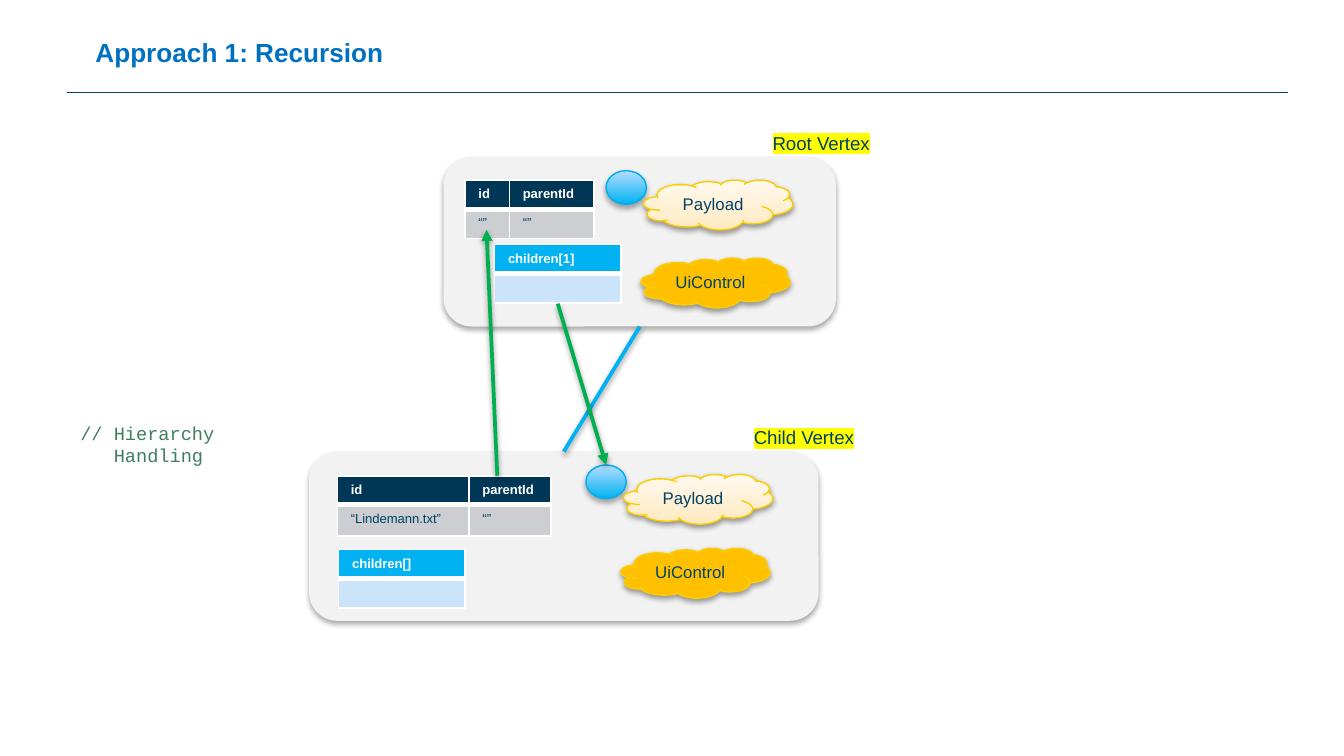
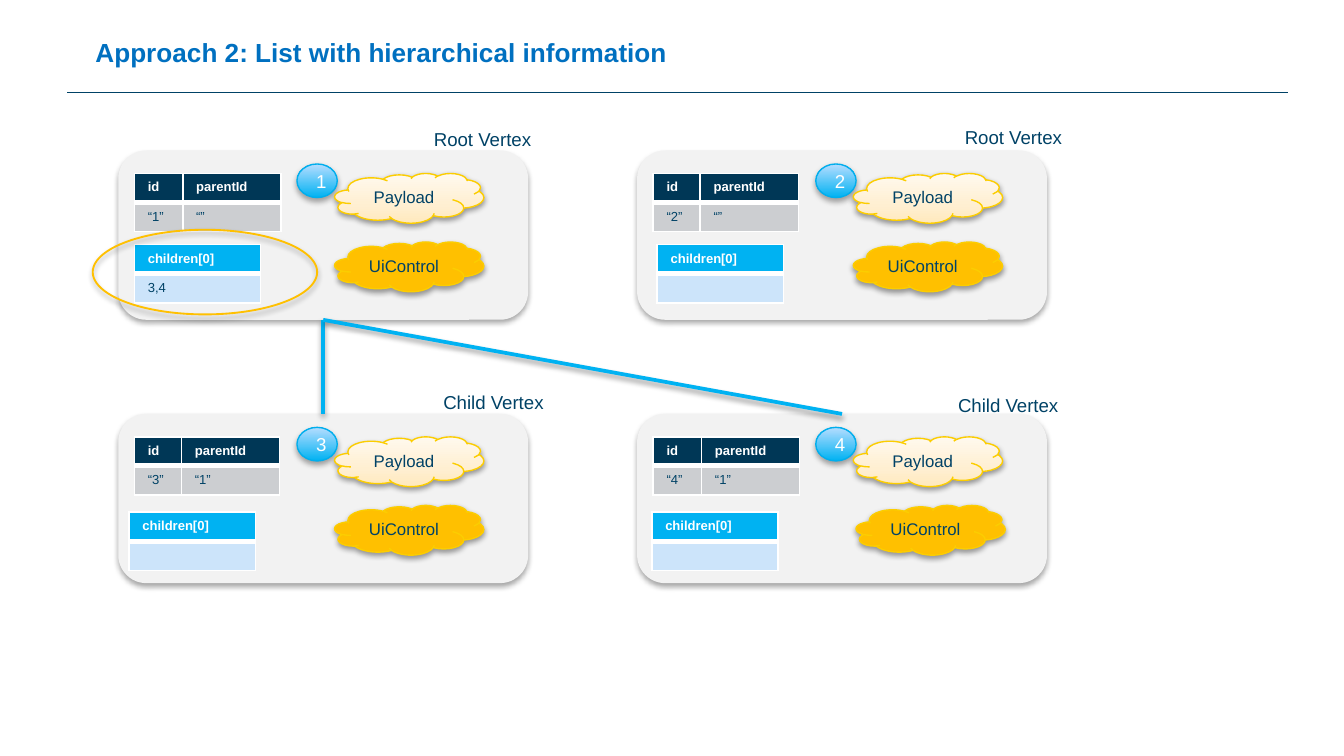
from dataclasses import dataclass
from typing import Any, NamedTuple

from lxml import etree
from pptx import Presentation
from pptx import util as u
from pptx.dml.color import RGBColor
from pptx.enum import shapes, text
from pptx.oxml import ns

# The slide is a grid of square cells, 100 columns wide.
WIDE, HIGH = u.Inches(10), u.Inches(5.625)
CELL = WIDE / 100

NAVY, INK, SKY, WHITE = "003756", "004266", "00B2F2", "FFFFFF"
BLUE, GREEN, GOLD, PALE = "0070C0", "00B050", "FFC000", "F2F2F2"
GRAY, ICE, RIM, EDGE = "CCCED1", "CCE4FA", "00AEED", "FCCD00"
MARK, CODE = "FFFF00", "3F7F5F"
BALL = [(0, SKY), (100, "B6DDFF")]
CREAM = [(0, "FFE9BD"), (35, "FFEFD1"), (100, "FFF9EE")]

TITLE = {"size": u.Pt(14), "name": "Arial", "bold": True, "color": BLUE}
LABEL = {"size": u.Pt(10), "name": "Arial", "color": INK}
NOTE = {"size": u.Pt(10), "name": "Courier New", "color": CODE}
COUNT = {"size": u.Pt(10), "name": "Arial", "color": WHITE}
TAG = {"size": u.Pt(9), "name": "Arial", "color": INK}
HEAD = {"size": u.Pt(7), "name": "Arial", "bold": True, "color": WHITE}
DATA = {"size": u.Pt(7), "name": "Arial", "bold": False, "color": INK}
FREE = {"word_wrap": False, "auto_size": text.MSO_AUTO_SIZE.SHAPE_TO_FIT_TEXT,
        "vertical_anchor": text.MSO_ANCHOR.TOP}


class Spot(NamedTuple):
    """A place on the grid, in columns and rows."""
    x: float
    y: float

    def move(self, by: "Spot") -> "Spot":
        return Spot(self.x + by.x, self.y + by.y)


class Shade(NamedTuple):
    alpha: int
    dist: float


SOFT, FIRM = Shade(35, 1.8), Shade(38, 1.6)


@dataclass
class Vertex:
    """A node card; all spots but `at` are measured from its corner."""
    at: Spot
    label: str
    tag: Spot
    ids: tuple[str, str]
    cols: tuple[float, float]
    kids: str
    kid: Spot
    key: Spot = Spot(1.2, 1.7)
    ball: Spot = Spot(13.3, 1)
    ui: Spot = Spot(16.1, 6.8)
    wide: float = 30.5
    low: float = 1.9
    num: str = ""
    held: str = ""
    mark: bool = False


def grid(*vals: float) -> list[int]:
    return [u.Emu(round(v * CELL)) for v in vals]


def color(code: str) -> RGBColor:
    return RGBColor.from_string(code)


def sub(node: Any, tag: str, **vals: Any) -> Any:
    return etree.SubElement(node, ns.qn("a:" + tag),
                            {k: str(v) for k, v in vals.items()})


def put(obj: Any, form: dict) -> None:
    for key, val in form.items():
        if key == "color":
            obj.color.rgb = color(val)
        else:
            setattr(obj, key, val)


def write(para: Any, words: str, form: dict) -> Any:
    run = para.add_run()
    run.text = words
    put(run.font, form)
    return run


def shade(shape: Any, kind: Shade) -> None:
    """Append a downward shadow after the fill and line."""
    props = shape.element.spPr
    glow = sub(sub(props, "effectLst"), "outerShdw", blurRad=u.Pt(3.1),
               dist=u.Pt(kind.dist), dir=5400000, rotWithShape=0)
    sub(sub(glow, "srgbClr", val="000000"), "alpha", val=kind.alpha * 1000)


def blend(shape: Any, stops: list[tuple[int, str]]) -> None:
    """Fill from bottom to top with a gradient."""
    props = shape.element.spPr
    fill = sub(props, "gradFill", rotWithShape=1)
    row = sub(fill, "gsLst")
    for pos, code in stops:
        sub(sub(row, "gs", pos=pos * 1000), "srgbClr", val=code)
    sub(fill, "lin", ang=16200000, scaled=0)
    props.find(ns.qn("a:prstGeom")).addnext(fill)


def draw(slide: Any, kind: str, at: Spot, size: Spot, fill: Any = None,
         edge: str = "", thick: float = 0.75, dim: Shade = SOFT,
         words: str = "", form: dict = TAG) -> Any:
    shape = slide.shapes.add_shape(
        getattr(shapes.MSO_SHAPE, kind), *grid(*at, *size))
    if isinstance(fill, list):
        blend(shape, fill)
    elif fill:
        shape.fill.solid()
        shape.fill.fore_color.rgb = color(fill)
    else:
        shape.fill.background()
    if edge:
        put(shape.line, {"color": edge, "width": u.Pt(thick)})
    else:
        shape.line.fill.background()
    shade(shape, dim)
    if words:
        frame = shape.text_frame
        frame.vertical_anchor = text.MSO_ANCHOR.MIDDLE
        frame.paragraphs[0].alignment = text.PP_ALIGN.CENTER
        write(frame.paragraphs[0], words, form)
    return shape


def rule(slide: Any, start: Spot, end: Spot, code: str, thick: float) -> Any:
    line = slide.shapes.add_connector(
        shapes.MSO_CONNECTOR.STRAIGHT, *grid(*start, *end))
    put(line.line, {"color": code, "width": u.Pt(thick)})
    return line


def link(slide: Any, top: Any, low: Any) -> None:
    line = rule(slide, Spot(0, 0), Spot(1, 1), SKY, 2)
    line.begin_connect(top, 2)
    line.end_connect(low, 0)
    shade(line, FIRM)


def arrow(slide: Any, start: Spot, end: Spot, goal: Any = None) -> None:
    line = rule(slide, start, end, GREEN, 2)
    if goal:
        line.end_connect(goal, 0)
    sub(line.element.spPr.find(ns.qn("a:ln")), "tailEnd", type="triangle")
    shade(line, FIRM)


def label(slide: Any, at: Spot, size: Spot, lines: list[str], form: dict,
          mark: bool = False, wrap: bool = False) -> None:
    frame = slide.shapes.add_textbox(*grid(*at, *size)).text_frame
    put(frame, FREE | {"word_wrap": wrap})
    for i, words in enumerate(lines):
        para = frame.add_paragraph() if i else frame.paragraphs[0]
        run = write(para, words, form)
        if mark:
            props = run.font._element
            tint = sub(props, "highlight")
            sub(tint, "srgbClr", val=MARK)
            props.find(ns.qn("a:solidFill")).addnext(tint)


def border(cell: Any, base: float) -> None:
    props = cell._tc.get_or_add_tcPr()
    for side, thick in zip("LRTB", (1, 1, 1, base)):
        line = sub(props, "ln" + side, w=u.Pt(thick))
        sub(sub(line, "solidFill"), "srgbClr", val=WHITE)


def table(slide: Any, at: Spot, cols: tuple, rows: list[tuple],
          fills: tuple[str, str], low: float = 1.9) -> None:
    """Draw a header row over one data row."""
    tall = 2.4 + low
    frame = slide.shapes.add_table(2, len(cols), *grid(*at, sum(cols), tall))
    body = frame.table
    for col, wide in zip(body.columns, grid(*cols)):
        col.width = wide
    for row, high in zip(body.rows, grid(1.9, low)):
        row.height = high
    frame.height = grid(tall)[0]
    for r, (fill, form, base) in enumerate(zip(fills, (HEAD, DATA), (3, 1))):
        for c, words in enumerate(rows[r]):
            cell = body.cell(r, c)
            border(cell, base)
            cell.fill.solid()
            cell.fill.fore_color.rgb = color(fill)
            para = cell.text_frame.paragraphs[0]
            if words:
                write(para, words, form)
            else:
                sub(para._p, "endParaRPr", sz=700)


def card(slide: Any, v: Vertex) -> tuple[Any, Any]:
    """Draw a vertex; return its box and its ball."""
    box = draw(slide, "ROUNDED_RECTANGLE", v.at, Spot(v.wide, 12.6), PALE)
    ball = draw(slide, "OVAL", v.at.move(v.ball), Spot(3, 2.5), BALL, RIM,
                words=v.num, form=COUNT)
    load = v.at.move(v.ball).move(Spot(2.8, 0.7))
    for at, fill, words in ((load, CREAM, "Payload"),
                            (v.at.move(v.ui), GOLD, "UiControl")):
        draw(slide, "CLOUD", at, Spot(11.1, 3.7), fill, EDGE, dim=FIRM,
             words=words)
    table(slide, v.at.move(v.kid), (9.4,), [(v.kids,), (v.held,)], (SKY, ICE))
    table(slide, v.at.move(v.key), v.cols, [("id", "parentId"), v.ids],
          (NAVY, GRAY), v.low)
    label(slide, v.at.move(v.tag), Spot(9.5, 2.7), [v.label], LABEL, v.mark)
    return box, ball


def page(deck: Any, words: str, wide: float) -> Any:
    slide = deck.slides.add_slide(deck.slide_layouts[5])
    title = slide.shapes.title
    places = grid(6.1, 2.2, wide, 3.4)
    put(title, dict(zip(("left", "top", "width", "height"), places)))
    put(title.text_frame, FREE)
    para = title.text_frame.paragraphs[0]
    para.alignment = text.PP_ALIGN.LEFT
    write(para, words, TITLE)
    return slide


def nested(deck: Any) -> Any:
    slide = page(deck, "Approach 1: Recursion", 24.2)
    root = Vertex(Spot(33, 11.7), "Root Vertex", Spot(23.5, -2.4),
                  ("“”", "“”"), (3.3, 6.3), "children[1]", Spot(3.8, 6.5),
                  key=Spot(1.6, 1.7), ball=Spot(12.1, 1), ui=Spot(14.7, 7.5),
                  wide=29.2, mark=True)
    child = Vertex(Spot(23, 33.6), "Child Vertex", Spot(32.1, -2.4),
                   ("“Lindemann.txt”", "“”"), (9.8, 6.1), "children[]",
                   Spot(2.2, 7.3), key=Spot(2.1, 1.8), ball=Spot(20.6, 1),
                   ui=Spot(23.2, 7.2), wide=37.9, low=2.3, mark=True)
    top, _ = card(slide, root)
    low, ball = card(slide, child)
    label(slide, Spot(5, 30.9), Spot(19.7, 4.4),
          ["// Hierarchy", "   Handling"], NOTE, wrap=True)
    link(slide, top, low)
    arrow(slide, Spot(37, 35.4), Spot(36.2, 17.1))
    arrow(slide, Spot(41.5, 22.6), Spot(45.1, 34.6), ball)
    return slide


def listed(deck: Any) -> None:
    slide = page(deck, "Approach 2: List with hierarchical information", 44.7)
    left, right, top, low = 8.8, 47.4, 11.2, 30.8
    kids = "children[0]"
    slim, full = (3.5, 7.3), (3.6, 7.3)
    cards = [
        Vertex(Spot(left, top), "Root Vertex", Spot(22.5, -2.2),
               ("“1”", "“”"), full, kids, Spot(1.2, 7), num="1", held="3,4"),
        Vertex(Spot(right, top), "Root Vertex", Spot(23.4, -2.3),
               ("“2”", "“”"), slim, kids, Spot(1.5, 7), num="2"),
        Vertex(Spot(left, low), "Child Vertex", Spot(23.2, -2.2),
               ("“3”", "“1”"), slim, kids, Spot(0.8, 7.3), num="3"),
        Vertex(Spot(right, low), "Child Vertex", Spot(22.9, -2),
               ("“4”", "“1”"), full, kids, Spot(1.1, 7.3), num="4",
               ui=Spot(16.3, 6.8)),
    ]
    root, _, *leaves = [card(slide, v)[0] for v in cards]
    for leaf in leaves:
        link(slide, root, leaf)
    draw(slide, "OVAL", Spot(6.9, 17.1), Spot(16.7, 6.3), edge=GOLD, thick=1)


def main() -> None:
    deck = Presentation()
    deck.slide_width, deck.slide_height = WIDE, HIGH
    first = nested(deck)
    listed(deck)
    band = rule(first, Spot(5, 6.9), Spot(95.8, 6.9), INK, 0.75)
    sub(band.element.spPr, "effectLst")
    deck.slide_master.shapes.element.append(band.element)
    deck.save("out.pptx")


if __name__ == "__main__":
    main()
